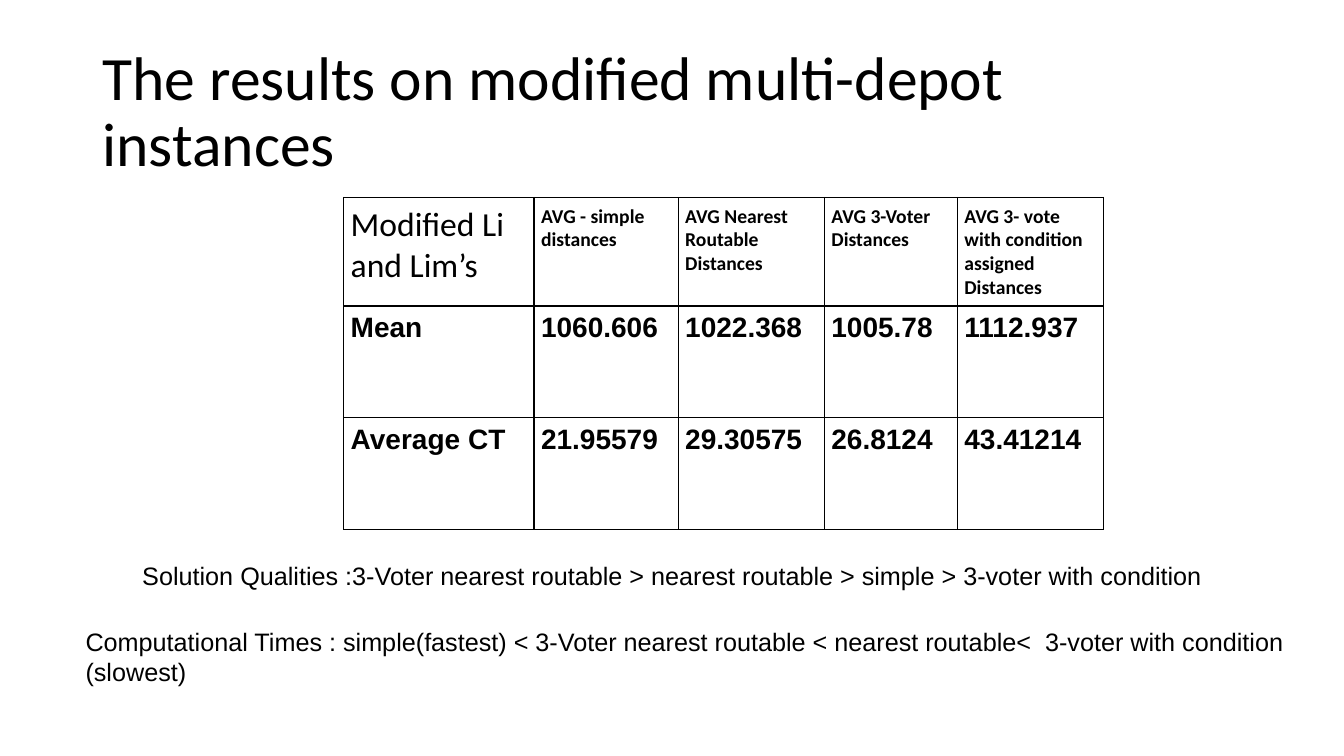
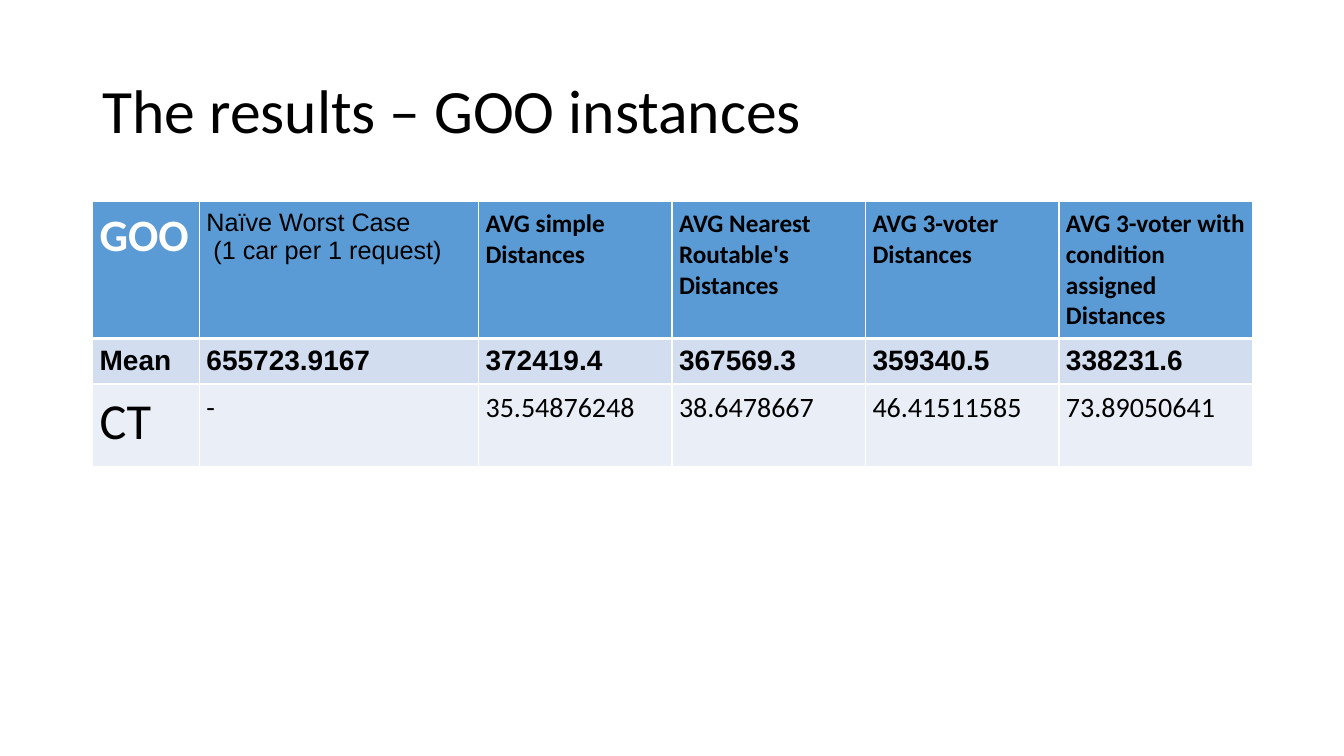
from lxml.etree import SubElement
from pptx import Presentation
from pptx.dml.color import RGBColor
from pptx.enum.text import MSO_ANCHOR, MSO_AUTO_SIZE, PP_ALIGN
from pptx.oxml.ns import qn
from pptx.util import Pt

BLACK, WHITE = "000000", "FFFFFF"
HEADER_BLUE, BAND_DARK, BAND_LIGHT = "5B9BD5", "D2DEEF", "EAEFF7"
TITLE_BOX = (66, 28.8, 828, 104.4)
CELL_MARGIN = 5

BOLD_FIGURE = {"font": "Arial", "size": 20, "bold": True}
SMALL_HEADING = {"font": "Calibri", "size": 14, "bold": True}
LARGE_HEADING = {"font": "Calibri", "size": 18, "bold": True}
PLAIN_FIGURE = {"font": "Calibri", "size": 20}
NOTE = {"font": "Arial", "size": 18}

# Each row: height, fill, format of its cells, texts.
# "special" replaces the format of single cells, keyed by (row, column).
DEPOT_PLACE = {"left": 245.5, "widths": [136, 103, 104.4, 95, 104.4], "border": BLACK}
DEPOT_HEADER = [
    (77, None, SMALL_HEADING, [
        "Modified Li and Lim’s", "AVG - simple distances", "AVG Nearest Routable Distances",
        "AVG 3-Voter Distances", "AVG 3- vote with condition assigned Distances"]),
]
DEPOT_RESULTS = [
    (80, None, BOLD_FIGURE, ["Mean", "1060.606", "1022.368", "1005.78", "1112.937"]),
    (80, None, BOLD_FIGURE, ["Average CT", "21.95579", "29.30575", "26.8124", "43.41214"]),
]
GOO_RESULTS = [
    (97, HEADER_BLUE, LARGE_HEADING, [
        "GOO", "Naïve Worst Case\n (1 car per 1 request)", "AVG simple Distances",
        "AVG Nearest Routable's Distances", "AVG 3-voter Distances",
        "AVG 3-voter with condition assigned Distances"]),
    (32.4, BAND_DARK, BOLD_FIGURE, [
        "Mean", "655723.9167", "372419.4", "367569.3", "359340.5", "338231.6"]),
    (59, BAND_LIGHT, PLAIN_FIGURE, [
        "CT", "-", "35.54876248", "38.6478667", "46.41511585", "73.89050641"]),
]

SLIDES = [
    {
        "title": "The results on modified multi-depot instances",
        "tables": [
            {**DEPOT_PLACE, "top": 141, "rows": DEPOT_HEADER,
             "special": {(0, 0): {"font": "Calibri", "size": 24}}},
            {**DEPOT_PLACE, "top": 218.3, "rows": DEPOT_RESULTS},
        ],
        "notes": [
            ((94.5, 396.7, 790, 29),
             "Solution Qualities :3-Voter nearest routable > nearest routable > simple > "
             "3-voter with condition"),
            ((54, 443.8, 870.5, 51),
             "Computational Times : simple(fastest) < 3-Voter nearest routable < "
             "nearest routable<  3-voter with condition (slowest)"),
        ],
    },
    {
        "title": "The results – GOO instances",
        "tables": [
            {"left": 66.2, "top": 144, "widths": [76.3, 199.4] + [138.2] * 4,
             "border": WHITE, "header_line": 3, "rows": GOO_RESULTS,
             "special": {(0, 0): {"font": "Calibri", "size": 32, "bold": True, "color": WHITE},
                         (0, 1): NOTE,
                         (2, 0): {"font": "Calibri", "size": 36}}},
        ],
        "notes": [],
    },
]


def rgb(color):
    return RGBColor.from_string(color)


def write_text(frame, text, font, size, bold=False, color=BLACK, line_spacing=None):
    frame.word_wrap = True
    frame.text = text
    for paragraph in frame.paragraphs:
        paragraph.alignment = PP_ALIGN.LEFT
        paragraph.line_spacing = line_spacing
        for run in paragraph.runs:
            run.font.name = font
            run.font.size = Pt(size)
            run.font.bold = bold
            run.font.color.rgb = rgb(color)


def set_borders(cell, color, top, bottom):
    properties = cell._tc.get_or_add_tcPr()
    for side, width in (("L", 1), ("R", 1), ("T", top), ("B", bottom)):
        line = SubElement(properties, qn(f"a:ln{side}"), w=str(Pt(width)))
        fill = SubElement(line, qn("a:solidFill"))
        SubElement(fill, qn("a:srgbClr"), val=color)


def add_title(slide, text):
    title = slide.shapes.title
    title.left, title.top, title.width, title.height = map(Pt, TITLE_BOX)
    frame = title.text_frame
    frame.auto_size = MSO_AUTO_SIZE.NONE
    frame.vertical_anchor = MSO_ANCHOR.MIDDLE
    write_text(frame, text, font="Calibri", size=44, line_spacing=0.9)


def add_results_table(slide, left, top, widths, rows, border, header_line=1, special=None):
    special = special or {}
    height = sum(row[0] for row in rows)
    frame = slide.shapes.add_table(len(rows), len(widths), Pt(left), Pt(top),
                                   Pt(sum(widths)), Pt(height))
    table = frame.table
    table.first_row = table.horz_banding = False
    for column, width in zip(table.columns, widths):
        column.width = Pt(width)
    for r, (row_height, fill, style, texts) in enumerate(rows):
        table.rows[r].height = Pt(row_height)
        for c, text in enumerate(texts):
            cell = table.cell(r, c)
            cell.margin_left = cell.margin_right = Pt(CELL_MARGIN)
            cell.margin_top = cell.margin_bottom = Pt(CELL_MARGIN)
            set_borders(cell, border, top=header_line if r == 1 else 1,
                        bottom=header_line if r == 0 else 1)
            if fill:
                cell.fill.solid()
                cell.fill.fore_color.rgb = rgb(fill)
            else:
                cell.fill.background()
            write_text(cell.text_frame, text, **special.get((r, c), style))


def add_note(slide, box, text):
    shape = slide.shapes.add_textbox(*map(Pt, box))
    write_text(shape.text_frame, text, **NOTE)


def main():
    presentation = Presentation()
    presentation.slide_width, presentation.slide_height = Pt(960), Pt(540)
    title_only = presentation.slide_layouts[5]
    for content in SLIDES:
        slide = presentation.slides.add_slide(title_only)
        add_title(slide, content["title"])
        for table in content["tables"]:
            add_results_table(slide, **table)
        for box, text in content["notes"]:
            add_note(slide, box, text)
    presentation.save("out.pptx")


if __name__ == "__main__":
    main()
